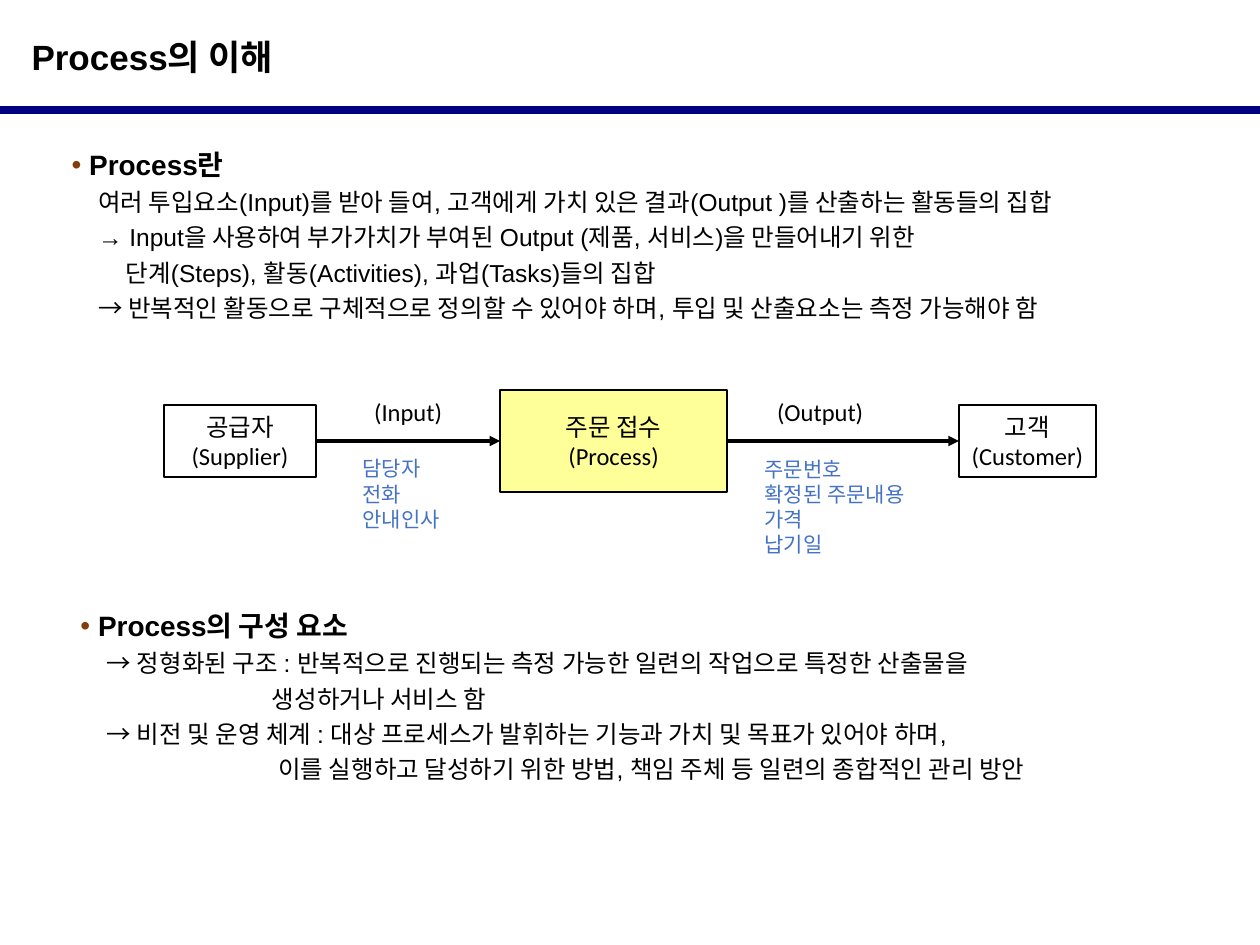
from dataclasses import dataclass

from lxml import etree
from pptx import Presentation
from pptx.dml.color import RGBColor
from pptx.enum.shapes import MSO_CONNECTOR, MSO_SHAPE
from pptx.enum.text import MSO_ANCHOR, PP_ALIGN
from pptx.oxml.ns import qn
from pptx.util import Inches, Pt

BLACK = RGBColor(0x00, 0x00, 0x00)
NAVY = RGBColor(0x00, 0x00, 0x80)
YELLOW = RGBColor(0xFF, 0xFF, 0x99)
BLUE = RGBColor(0x44, 0x72, 0xC4)
BROWN = RGBColor(0x84, 0x3C, 0x0B)

LEFT, CENTER, JUSTIFY = PP_ALIGN.LEFT, PP_ALIGN.CENTER, PP_ALIGN.JUSTIFY
TOP, MIDDLE = MSO_ANCHOR.TOP, MSO_ANCHOR.MIDDLE
RECTANGLE, STRAIGHT = MSO_SHAPE.RECTANGLE, MSO_CONNECTOR.STRAIGHT

TITLE_ONLY = 5
FLOW_Y = 3.5
HEADING_INDENT = 0.14
BODY_INDENT = 0.21


@dataclass(frozen=True)
class Section:
    left: float
    top: float
    heading: str
    lines: tuple[tuple[float, str], ...]  # indent in inches, text


@dataclass(frozen=True)
class Step:
    left: float
    width: float
    height: float
    text: str
    fill: RGBColor | None = None
    wrap: bool = False


@dataclass(frozen=True)
class Caption:
    left: float
    top: float
    width: float
    height: float
    text: str
    size: int
    color: RGBColor
    alignment: PP_ALIGN


SECTIONS = (
    Section(0.47, 1.07, "Process란", (
        (BODY_INDENT, "여러 투입요소(Input)를 받아 들여, 고객에게 가치 있은 결과(Output )를 산출하는 활동들의 집합"),
        (BODY_INDENT, "→ Input을 사용하여 부가가치가 부여된 Output (제품, 서비스)을 만들어내기 위한"),
        (0.43, "단계(Steps), 활동(Activities), 과업(Tasks)들의 집합"),
        (BODY_INDENT, "→ 반복적인 활동으로 구체적으로 정의할 수 있어야 하며, 투입 및 산출요소는 측정 가능해야 함"),
    )),
    Section(0.54, 4.73, "Process의 구성 요소", (
        (BODY_INDENT, "→ 정형화된 구조 : 반복적으로 진행되는 측정 가능한 일련의 작업으로 특정한 산출물을"),
        (1.52, "생성하거나 서비스 함"),
        (BODY_INDENT, "→ 비전 및 운영 체계 : 대상 프로세스가 발휘하는 기능과 가치 및 목표가 있어야 하며,"),
        (1.57, "이를 실행하고 달성하기 위한 방법, 책임 주체 등 일련의 종합적인 관리 방안"),
    )),
)

STEPS = (
    Step(1.3, 1.21, 0.57, "공급자\n(Supplier)", wrap=True),
    Step(3.97, 1.8, 0.81, "주문 접수\n(Process)", YELLOW),
    Step(7.61, 1.09, 0.57, "고객\n(Customer)"),
)

CAPTIONS = (
    Caption(2.76, 3.1, 0.96, 0.33, "(Input)", 14, BLACK, CENTER),
    Caption(6.03, 3.1, 0.96, 0.33, "(Output)", 14, BLACK, CENTER),
    Caption(2.78, 3.57, 0.96, 0.7, "담당자\n전화\n안내인사", 12, BLUE, LEFT),
    Caption(5.97, 3.57, 1.48, 0.91, "주문번호\n확정된 주문내용\n가격\n납기일", 12, BLUE, LEFT),
)


def format_paragraph(paragraph, font_name: str, size: int, color: RGBColor,
                     alignment: PP_ALIGN, bold: bool = False) -> None:
    paragraph.alignment = alignment
    for run in paragraph.runs:
        run.font.name = font_name
        run.font.size = Pt(size)
        run.font.bold = bold
        run.font.color.rgb = color


def set_text(shape, text: str, size: int, color: RGBColor, alignment: PP_ALIGN) -> None:
    shape.text_frame.text = text
    for paragraph in shape.text_frame.paragraphs:
        format_paragraph(paragraph, "Calibri", size, color, alignment)


def add_bullet(paragraph) -> None:
    properties = paragraph._p.get_or_add_pPr()
    properties.set("marL", str(Inches(HEADING_INDENT)))
    properties.set("indent", str(-Inches(HEADING_INDENT)))
    color = etree.SubElement(properties, qn("a:buClr"))
    etree.SubElement(color, qn("a:srgbClr"), val=str(BROWN))
    etree.SubElement(properties, qn("a:buFont"), typeface="Arial")
    etree.SubElement(properties, qn("a:buChar"), char="•")


def add_title(slide, text: str) -> None:
    title = slide.shapes.title
    title.left, title.top = Inches(0), Inches(0.23)
    title.width, title.height = Inches(10), Inches(0.44)
    title.text_frame.text = text
    title.text_frame.margin_left = Inches(0.25)
    title.text_frame.vertical_anchor = TOP
    format_paragraph(title.text_frame.paragraphs[0], "Arial", 20, BLACK, LEFT, bold=True)


def add_section(slide, section: Section) -> None:
    box = slide.shapes.add_textbox(
        Inches(section.left), Inches(section.top), Inches(9.06), Inches(1.56))
    frame = box.text_frame
    frame.word_wrap = True
    frame.text = "\n".join([section.heading, *(text for _, text in section.lines)])
    heading, *body = frame.paragraphs
    for paragraph in frame.paragraphs:
        paragraph.line_spacing = 1.2
    format_paragraph(heading, "Arial", 16, BLACK, JUSTIFY, bold=True)
    add_bullet(heading)
    for paragraph, (indent, _) in zip(body, section.lines):
        format_paragraph(paragraph, "Arial", 14, BLACK, JUSTIFY)
        paragraph._p.get_or_add_pPr().set("marL", str(Inches(indent)))


def add_step(slide, step: Step) -> None:
    shape = slide.shapes.add_shape(
        RECTANGLE, Inches(step.left), Inches(FLOW_Y - step.height / 2),
        Inches(step.width), Inches(step.height))
    shape.shadow.inherit = False
    if step.fill is None:
        shape.fill.background()
    else:
        shape.fill.solid()
        shape.fill.fore_color.rgb = step.fill
    shape.line.color.rgb = BLACK
    shape.line.width = Pt(1)
    shape.text_frame.word_wrap = step.wrap
    shape.text_frame.vertical_anchor = MIDDLE
    set_text(shape, step.text, 14, BLACK, CENTER)


def add_caption(slide, caption: Caption) -> None:
    box = slide.shapes.add_textbox(
        Inches(caption.left), Inches(caption.top),
        Inches(caption.width), Inches(caption.height))
    box.text_frame.word_wrap = True
    set_text(box, caption.text, caption.size, caption.color, caption.alignment)


def add_horizontal_line(slide, start: float, end: float, y: float, color: RGBColor,
                        width: float, arrow: bool = False) -> None:
    connector = slide.shapes.add_connector(
        STRAIGHT, Inches(start), Inches(y), Inches(end), Inches(y))
    connector.line.color.rgb = color
    connector.line.width = Pt(width)
    if arrow:
        etree.SubElement(connector.line._get_or_add_ln(), qn("a:tailEnd"), type="triangle")
    etree.SubElement(connector._element.spPr, qn("a:effectLst"))


def main() -> None:
    presentation = Presentation()
    presentation.slide_width, presentation.slide_height = Inches(10), Inches(7.5)
    slide = presentation.slides.add_slide(presentation.slide_layouts[TITLE_ONLY])

    add_title(slide, "Process의 이해")
    add_horizontal_line(slide, 0, 10, 0.87, NAVY, 4.5)
    for section in SECTIONS:
        add_section(slide, section)
    for step in STEPS:
        add_step(slide, step)
    for source, target in zip(STEPS, STEPS[1:]):
        add_horizontal_line(slide, source.left + source.width, target.left,
                            FLOW_Y, BLACK, 2, arrow=True)
    for caption in CAPTIONS:
        add_caption(slide, caption)

    presentation.save("out.pptx")


if __name__ == "__main__":
    main()
